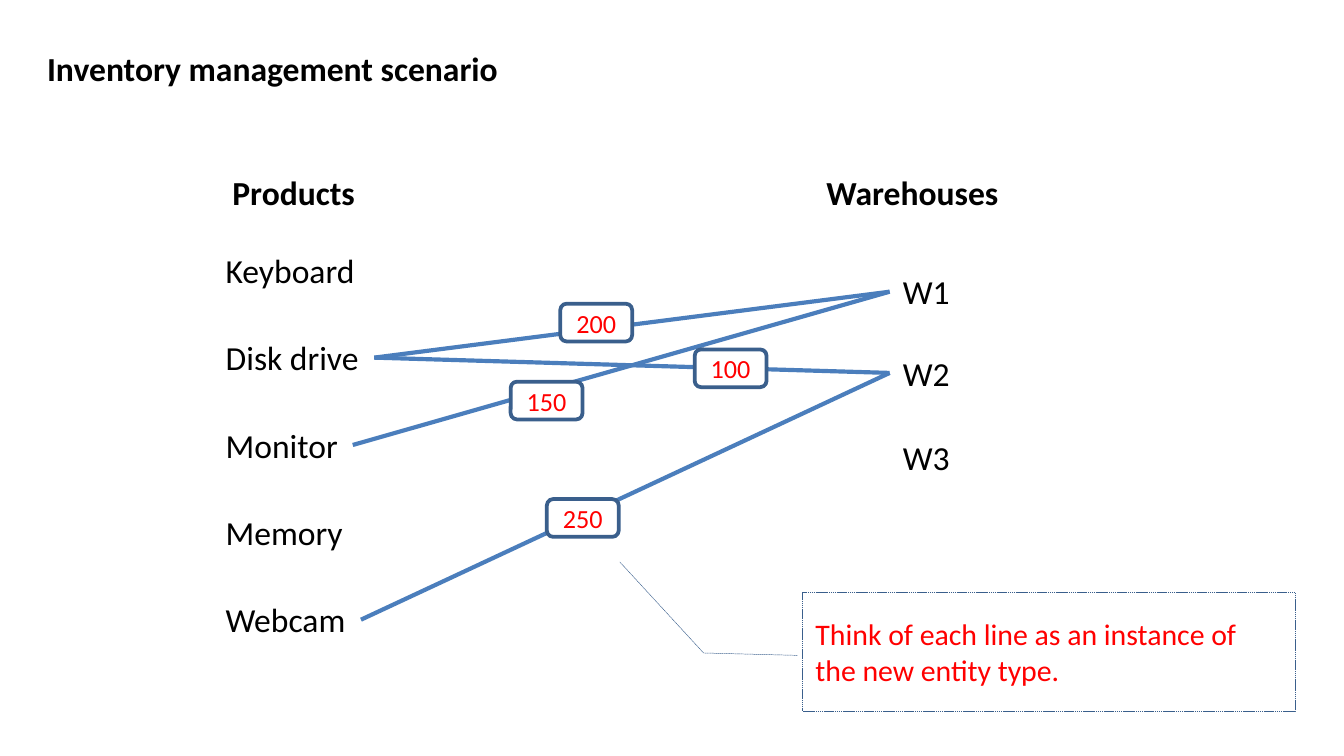
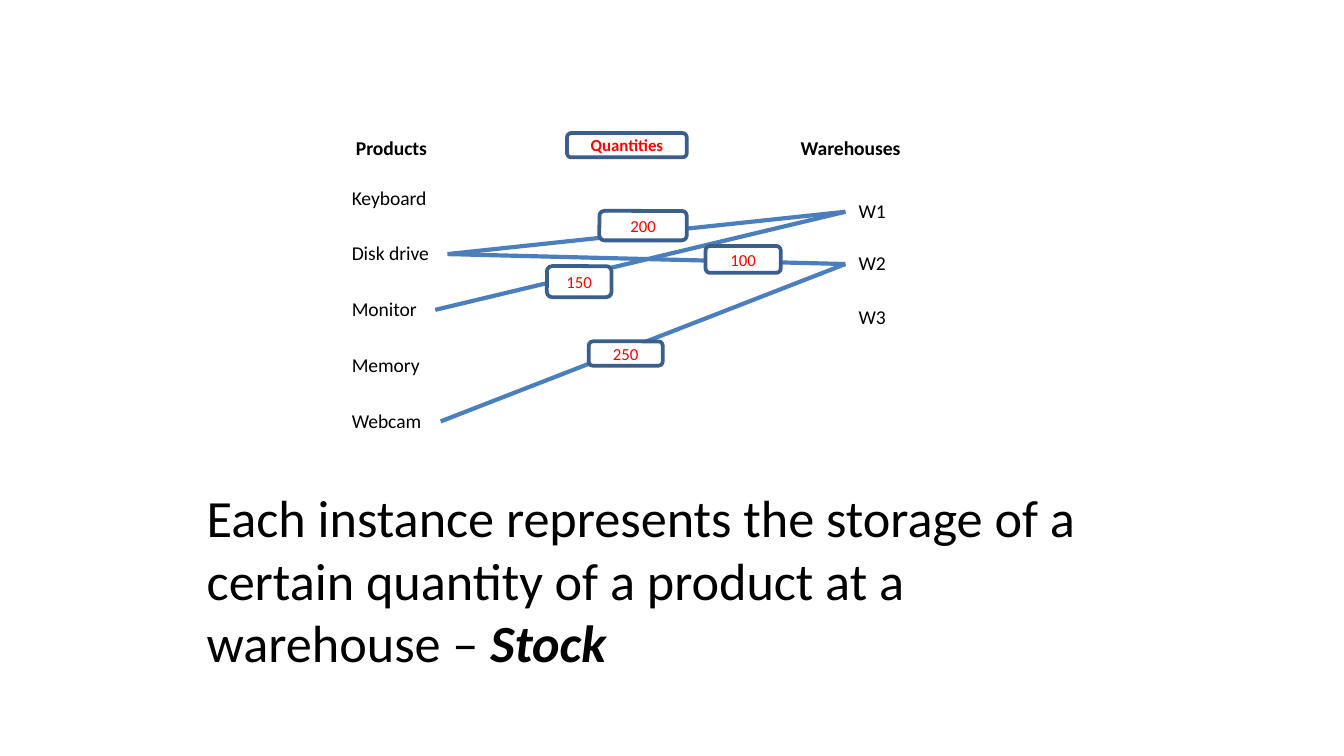
from dataclasses import dataclass

from lxml import etree
from pptx import Presentation
from pptx.dml.color import RGBColor
from pptx.enum import dml, shapes, text
from pptx.oxml.ns import qn
from pptx.util import Pt


@dataclass(frozen=True)
class Theme:
    font: str = "Calibri"
    ink: RGBColor = RGBColor(0x00, 0x00, 0x00)
    accent: RGBColor = RGBColor(0xFF, 0x00, 0x00)
    paper: RGBColor = RGBColor(0xFF, 0xFF, 0xFF)
    link: RGBColor = RGBColor(0x4B, 0x7E, 0xBC)
    border: RGBColor = RGBColor(0x3A, 0x5F, 0x8C)
    title_size: float = 18
    callout_size: float = 16
    statement_size: float = 28
    link_width: float = 2.25
    border_width: float = 2
    callout_width: float = 0.25


theme = Theme()


def write(box, runs, size, color=theme.ink, align=text.PP_ALIGN.LEFT,
          anchor=text.MSO_ANCHOR.TOP, wrap=True):
    frame = box.text_frame
    frame.word_wrap = wrap
    frame.vertical_anchor = anchor
    para = frame.paragraphs[0]
    para.alignment = align
    for words, bold, italic in runs:
        span = para.add_run()
        span.text = words
        span.font.name = theme.font
        span.font.size = Pt(size)
        span.font.color.rgb = color
        span.font.bold = bold
        span.font.italic = italic


def add_label(group, words, left, top, width, height, size, bold=False):
    box = group.shapes.add_textbox(Pt(left), Pt(top), Pt(width), Pt(height))
    write(box, [(words, bold, False)], size, wrap=False)
    box.text_frame.auto_size = text.MSO_AUTO_SIZE.SHAPE_TO_FIT_TEXT
    return box


products = ["Keyboard", "Disk drive", "Monitor", "Memory", "Webcam"]
warehouses = ["W1", "W2", "W3"]
stock_links = [("Disk drive", "W2"), ("Monitor", "W1"),
               ("Webcam", "W2"), ("Disk drive", "W1")]

diagrams = [
    dict(
        label_size=18, quantity_size=14, label_height=29,
        headings=[("Products", 117.4, 80.6), ("Warehouses", 435.6, 107.3)],
        heading_top=88.5,
        product_left=113.8, product_top=130.3, product_step=46.8,
        product_widths=[84.2, 86.7, 75.2, 78, 79.6],
        warehouse_left=476.6, warehouse_width=39.6,
        warehouse_tops=[141.8, 185.3, 230.4],
        quantities=[("200", 300.2, 162.7, 38.5, 20.2),
                    ("100", 372.2, 187.2, 38.5, 20.2),
                    ("150", 273.6, 204.5, 38.5, 20.2),
                    ("250", 293, 267.4, 38.5, 20.2)],
    ),
    dict(
        label_size=10.5, quantity_size=9, label_height=20.9,
        headings=[("Products", 183.6, 55.4), ("Warehouses", 421.9, 72)],
        heading_top=69.1,
        product_left=181.4, product_top=95.8, product_step=29.88,
        product_widths=[57.6, 58.4, 51.8, 53.3, 54.7],
        warehouse_left=452.9, warehouse_width=30.2,
        warehouse_tops=[103, 131, 159.8],
        quantities=[("200", 321.1, 113, 46.8, 15.8),
                    ("100", 378, 131.8, 40.3, 14.4),
                    ("150", 293, 142.6, 34.6, 16.6),
                    ("250", 315.4, 182.9, 39.6, 13),
                    ("Quantities", 303.8, 71.3, 64.1, 13)],
    ),
]

deck = Presentation()
deck.slide_width = Pt(720)
deck.slide_height = Pt(405)
title_only, blank = deck.slide_layouts[5], deck.slide_layouts[6]
scenario_page = deck.slides.add_slide(title_only)
stock_page = deck.slides.add_slide(blank)

for page, plan in zip((scenario_page, stock_page), diagrams):
    group = page.shapes.add_group_shape()
    size, height = plan["label_size"], plan["label_height"]

    for heading, left, width in plan["headings"]:
        add_label(group, heading, left, plan["heading_top"], width, height, size, True)

    labels = {}
    for row, (product, width) in enumerate(zip(products, plan["product_widths"])):
        top = plan["product_top"] + row * plan["product_step"]
        labels[product] = add_label(group, product, plan["product_left"], top,
                                    width, height, size)
    for warehouse, top in zip(warehouses, plan["warehouse_tops"]):
        labels[warehouse] = add_label(group, warehouse, plan["warehouse_left"], top,
                                      plan["warehouse_width"], height, size)

    for product, warehouse in stock_links:
        link = group.shapes.add_connector(shapes.MSO_CONNECTOR.STRAIGHT, 0, 0, 0, 0)
        link.begin_connect(labels[product], 3)
        link.end_connect(labels[warehouse], 1)
        link.line.color.rgb = theme.link
        link.line.width = Pt(theme.link_width)
        etree.SubElement(link.element.spPr, qn("a:effectLst"))

    for quantity, left, top, width, box_height in plan["quantities"]:
        box = group.shapes.add_shape(shapes.MSO_SHAPE.ROUNDED_RECTANGLE, Pt(left),
                                     Pt(top), Pt(width), Pt(box_height))
        box.shadow.inherit = False
        box.fill.solid()
        box.fill.fore_color.rgb = theme.paper
        box.line.color.rgb = theme.border
        box.line.width = Pt(theme.border_width)
        frame = box.text_frame
        frame.margin_left = frame.margin_right = Pt(0)
        frame.margin_top = frame.margin_bottom = Pt(0)
        write(box, [(quantity, quantity == "Quantities", False)],
              plan["quantity_size"], theme.accent, text.PP_ALIGN.CENTER,
              text.MSO_ANCHOR.MIDDLE, wrap=False)

title = scenario_page.shapes.title
title.left, title.top, title.width, title.height = Pt(18), Pt(22.3), Pt(660), Pt(29)
write(title, [("Inventory management scenario", True, False)], theme.title_size)

callout = scenario_page.shapes.add_shape(shapes.MSO_SHAPE.LINE_CALLOUT_2, Pt(429.8),
                                         Pt(317.5), Pt(264.2), Pt(63.4))
for index, value in enumerate([0.53, -0.01, 0.51, -0.2, -0.26, -0.37]):
    callout.adjustments[index] = value
callout.shadow.inherit = False
callout.fill.background()
callout.line.color.rgb = theme.border
callout.line.width = Pt(theme.callout_width)
callout.line.dash_style = dml.MSO_LINE.SQUARE_DOT
write(callout, [("Think of each line as an instance of the new entity type.", False, False)],
      theme.callout_size, theme.accent, anchor=text.MSO_ANCHOR.MIDDLE)

statement = stock_page.shapes.add_textbox(Pt(103.7), Pt(256.3), Pt(508.3), Pt(108.7))
write(statement, [("Each instance represents the storage of a certain quantity "
                   "of a product at a warehouse – ", False, False),
                  ("Stock", True, True)], theme.statement_size)

deck.save("out.pptx")
